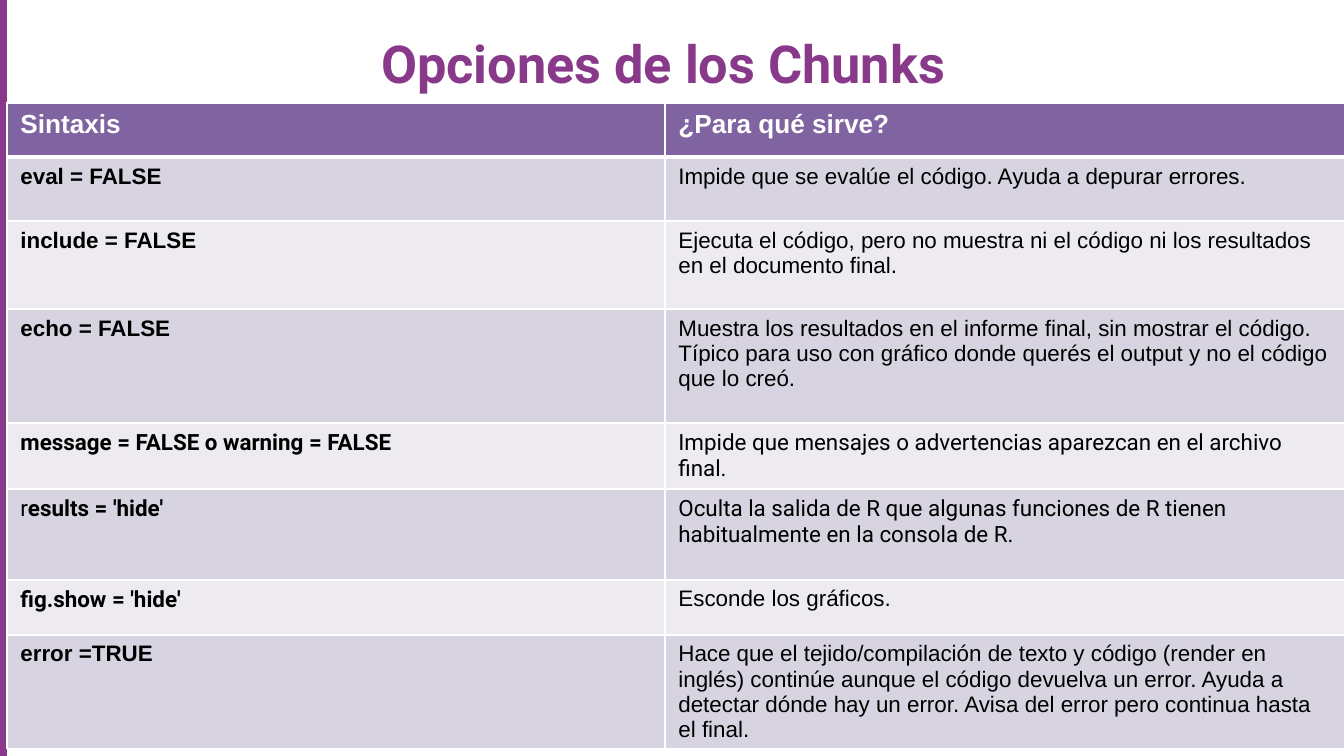
from dataclasses import dataclass

from lxml.etree import SubElement
from pptx import Presentation
from pptx.dml.color import RGBColor as Color
from pptx.enum.shapes import MSO_CONNECTOR as Connector
from pptx.enum.text import MSO_ANCHOR as Anchor, MSO_AUTO_SIZE as AutoSize, PP_ALIGN as Align
from pptx.oxml.ns import qn
from pptx.util import Emu, Pt

PAGE_WIDTH, PAGE_HEIGHT = 1344, 756


@dataclass(frozen=True)
class Theme:
    accent: str = "88398A"
    header: str = "8064A2"
    bands: tuple = ("D8D3E0", "EDEAF0")
    light: str = "FFFFFF"
    dark: str = "000000"
    sans: str = "Arial"
    display: str = "Roboto"
    title_size: int = 28
    header_size: int = 14
    body_size: int = 12
    stripe_width: float = 4.5
    rule_width: int = 1
    header_rule_width: int = 3


THEME = Theme()
SANS, DISPLAY = THEME.sans, THEME.display

HEADINGS = ("Sintaxis", "¿Para qué sirve?")
# Row height, syntax as (text, bold) spans, syntax font, purpose, purpose font
OPTIONS = [
    (64, [("eval = FALSE", True)], SANS,
     "Impide que se evalúe el código. Ayuda a depurar errores.", SANS),
    (88, [("include = FALSE", True)], SANS,
     "Ejecuta el código, pero no muestra ni el código ni los resultados "
     "en el documento final.", SANS),
    (114, [("echo = FALSE", True)], SANS,
     "Muestra los resultados en el informe final, sin mostrar el código. Típico para uso "
     "con gráfico donde querés el output y no el código que lo creó.", SANS),
    (66, [("message = FALSE o warning = FALSE", True)], DISPLAY,
     "Impide que mensajes o advertencias aparezcan en el archivo final.", DISPLAY),
    (91, [("r", False), ("esults = 'hide'", True)], DISPLAY,
     "Oculta la salida de R que algunas funciones de R tienen habitualmente "
     "en la consola de R.", DISPLAY),
    (55, [("fig.show = 'hide'", True)], DISPLAY, "Esconde los gráficos.", SANS),
    (113, [("error =TRUE", True)], SANS,
     "Hace que el tejido/compilación de texto y código (render en inglés) continúe aunque "
     "el código devuelva un error. Ayuda a detectar dónde hay un error. Avisa del error "
     "pero continua hasta el final.", SANS),
]
HEADER_HEIGHT = 54
COLUMN_WIDTHS = (658, 680)


def px(length):
    return Emu(round(length * 9144000 / PAGE_WIDTH))


def set_values(target, values):
    for name, value in values.items():
        setattr(target, name, value)


def add_span(para, text, color, **font_values):
    span = para.add_run()
    span.text = text
    set_values(span.font, font_values)
    span.font.color.rgb = Color.from_string(color)


def add_stripe(page, box):
    """Draw the vertical line down the middle of the box."""
    left, top, width, height = box
    center = px(left + width / 2)
    stripe = page.shapes.add_connector(
        Connector.STRAIGHT, center, px(top), center, px(top + height))
    stripe.line.color.rgb = Color.from_string(THEME.accent)
    stripe.line.width = Pt(THEME.stripe_width)
    SubElement(stripe._element.spPr, qn("a:effectLst"))


def add_title(page, box, text):
    title = page.shapes.title
    set_values(title, dict(zip(("left", "top", "width", "height"), map(px, box))))
    frame = title.text_frame
    margins = {f"margin_{side}": px(13) for side in ("left", "top", "right", "bottom")}
    set_values(frame, {"word_wrap": True, "auto_size": AutoSize.NONE,
                       "vertical_anchor": Anchor.MIDDLE, **margins})
    para = frame.paragraphs[0]
    para.alignment = Align.CENTER
    add_span(para, text, THEME.accent, name=DISPLAY, size=Pt(THEME.title_size), bold=True)


def add_borders(cell, widths):
    """Rule the cell's sides; widths maps the side letter to points."""
    properties = cell._tc.get_or_add_tcPr()
    for side, width in widths.items():
        line = SubElement(properties, qn(f"a:ln{side}"), w=str(Pt(width)))
        fill = SubElement(line, qn("a:solidFill"))
        SubElement(fill, qn("a:srgbClr"), val=THEME.light)


def fill_cell(cell, spans, fill, color, font, size, rules):
    add_borders(cell, rules)
    cell.fill.solid()
    cell.fill.fore_color.rgb = Color.from_string(fill)
    for text, bold in spans:
        add_span(cell.text_frame.paragraphs[0], text, color,
                 name=font, size=Pt(size), bold=bold)


def add_options_table(page, box):
    table = page.shapes.add_table(len(OPTIONS) + 1, len(HEADINGS), *map(px, box)).table
    for column, width in zip(table.columns, COLUMN_WIDTHS):
        column.width = px(width)
    heights = [HEADER_HEIGHT] + [option[0] for option in OPTIONS]
    for row, height in zip(table.rows, heights):
        row.height = px(height)

    rules = dict.fromkeys("LRTB", THEME.rule_width)
    header_rules = {**rules, "B": THEME.header_rule_width}
    for column, heading in enumerate(HEADINGS):
        fill_cell(table.cell(0, column), [(heading, True)], THEME.header, THEME.light,
                  SANS, THEME.header_size, header_rules)
    for index, (_, syntax, syntax_font, purpose, purpose_font) in enumerate(OPTIONS):
        row_rules = {**rules, "T": THEME.header_rule_width} if index == 0 else rules
        cells = ((syntax, syntax_font), ([(purpose, False)], purpose_font))
        for column, (spans, font) in enumerate(cells):
            fill_cell(table.cell(index + 1, column), spans, THEME.bands[index % 2],
                      THEME.dark, font, THEME.body_size, row_rules)


def add_options_page(deck):
    page = deck.slides.add_slide(deck.slide_layouts.get_by_name("Title Only"))
    add_stripe(page, (0, 0, 6, PAGE_HEIGHT))
    add_title(page, (58, 0, 1210, 126), "Opciones de los Chunks")
    table_height = HEADER_HEIGHT + sum(option[0] for option in OPTIONS)
    add_options_table(page, (7, 103, sum(COLUMN_WIDTHS), table_height))


def main():
    deck = Presentation()
    set_values(deck, {"slide_width": px(PAGE_WIDTH), "slide_height": px(PAGE_HEIGHT)})
    add_options_page(deck)
    deck.save("out.pptx")


if __name__ == "__main__":
    main()
